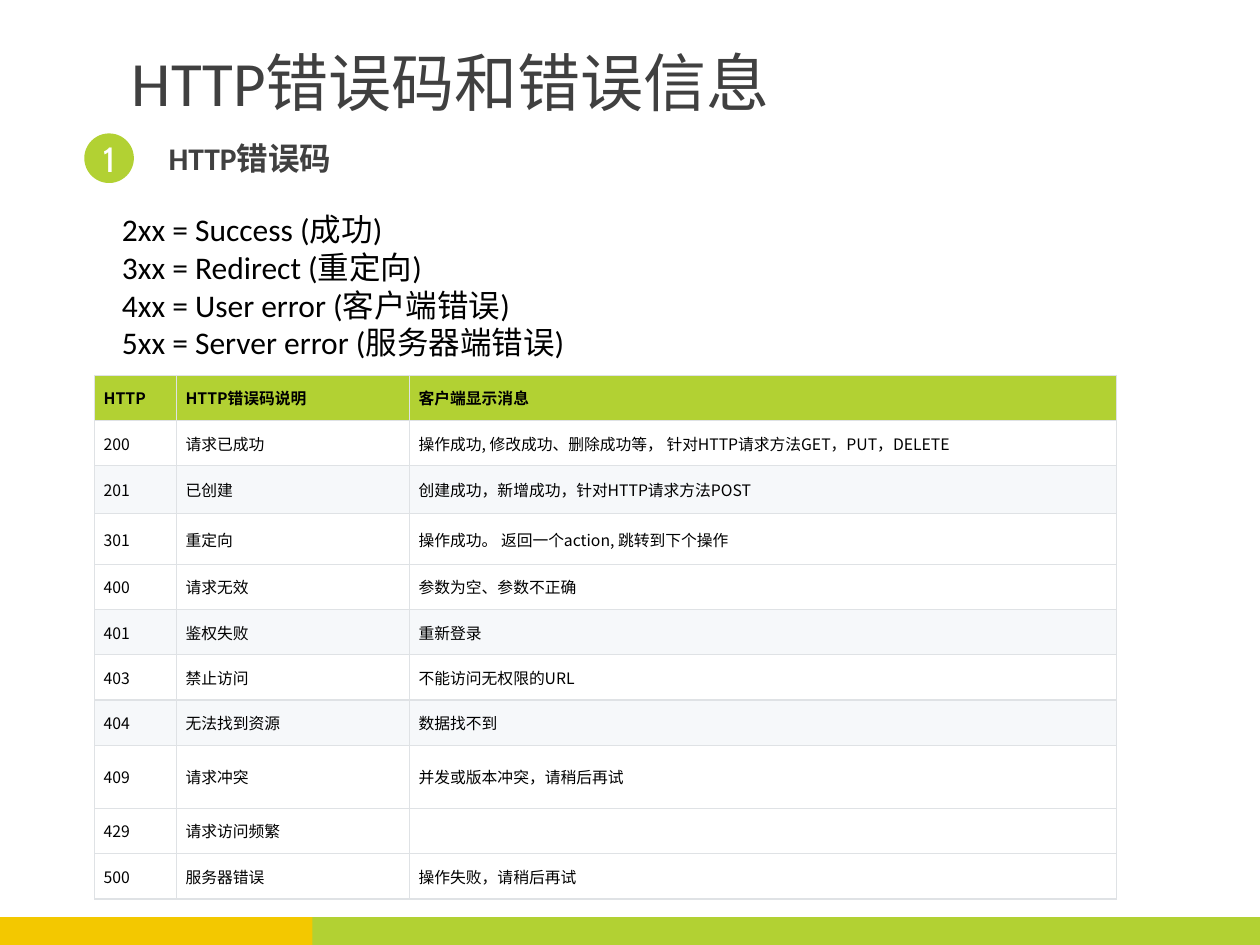
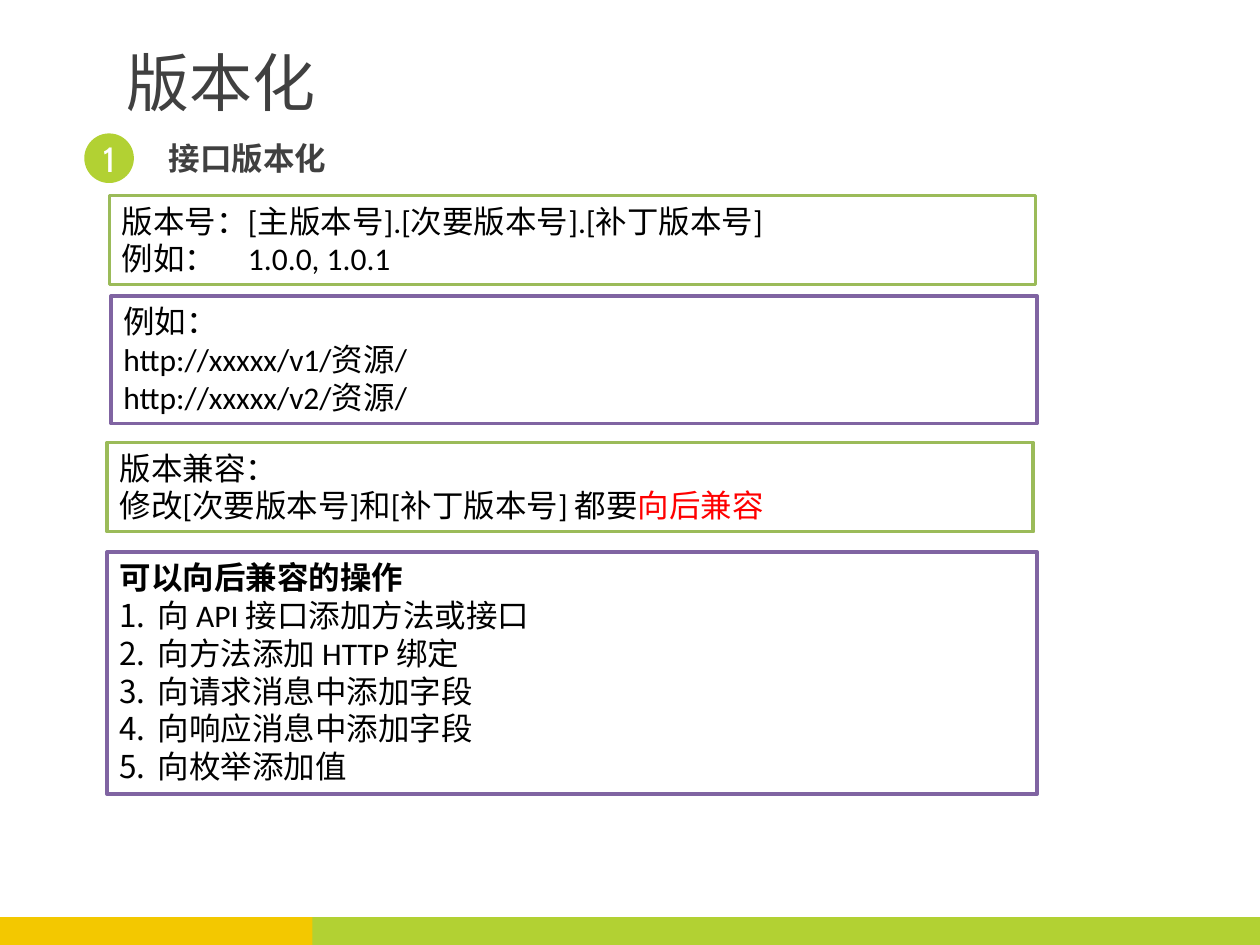
"""Builds two slides on HTTP error codes and interface versioning."""
from dataclasses import dataclass

from lxml import etree
from pptx import Presentation, util as u
from pptx.dml.color import RGBColor
from pptx.enum import shapes, text
from pptx.oxml import ns


@dataclass(frozen=True)
class Theme:
    lime: str = "B2D133"
    yellow: str = "F3C800"
    heading: str = "404040"
    ink: str = "000000"
    white: str = "FFFFFF"
    stripe: str = "F6F8FA"
    border: str = "DFE2E5"
    green: str = "9BBB59"
    purple: str = "8064A2"
    red: str = "FF0000"
    font: str = "Calibri"
    badge_font: str = "Cabin"
    cjk_font: str = "Noto Sans CJK SC"
    title_size: int = 36
    badge_size: int = 20
    body_size: int = 18
    table_size: int = 9
    border_width: float = 0.75
    box_width: int = 2


def add_xml(parent, tag, **attributes):
    return etree.SubElement(parent, ns.qn(tag), attributes)


class Deck:
    def __init__(self, theme):
        self.theme = theme
        self.presentation = Presentation()
        self.presentation.slide_width = u.Cm(25.4)
        self.presentation.slide_height = u.Cm(19.05)
        self.slide = None

    def new_slide(self, title, title_left, heading, heading_width):
        theme = self.theme
        self.slide = self.presentation.slides.add_slide(self.presentation.slide_layouts[6])
        self.shape("RECTANGLE", (4.29, 18.49, 21.11, 0.56), theme.lime)
        self.shape("RECTANGLE", (0, 18.49, 6.3, 0.56), theme.yellow)
        self.textbox((title_left, 0.76, 18.36, 1.8), [title], theme.title_size, theme.heading)
        self.badge("1")
        self.textbox((3.15, 2.67, heading_width, 1.02), [heading],
                     theme.body_size, theme.heading, bold=True)

    def style(self, runs, size, color, bold=False, font=None):
        for run in runs:
            run.font.size = u.Pt(size)
            run.font.bold = bold
            run.font.color.rgb = RGBColor.from_string(color)
            run.font.name = font or self.theme.font
            add_xml(run._r.get_or_add_rPr(), "a:ea", typeface=self.theme.cjk_font)

    def shape(self, kind, place, fill, line=None):
        shape = self.slide.shapes.add_shape(
            getattr(shapes.MSO_SHAPE, kind), *map(u.Cm, place))
        shape.shadow.inherit = False
        shape.fill.solid()
        shape.fill.fore_color.rgb = RGBColor.from_string(fill)
        if line:
            shape.line.color.rgb = RGBColor.from_string(line)
            shape.line.width = u.Pt(self.theme.box_width)
        else:
            shape.line.fill.background()
        return shape

    def badge(self, number):
        theme = self.theme
        frame = self.shape("OVAL", (1.7, 2.69, 1, 1), theme.lime).text_frame
        frame.margin_left = frame.margin_right = frame.margin_top = frame.margin_bottom = 0
        frame.text = number
        frame.vertical_anchor = text.MSO_ANCHOR.MIDDLE
        paragraph = frame.paragraphs[0]
        paragraph.alignment = text.PP_ALIGN.CENTER
        self.style(paragraph.runs, theme.badge_size, theme.white, font=theme.badge_font)

    def set_lines(self, frame, lines, size, color, bold=False):
        frame.text = "\n".join(lines)
        frame.word_wrap = True
        frame.vertical_anchor = text.MSO_ANCHOR.TOP
        for paragraph in frame.paragraphs:
            paragraph.alignment = text.PP_ALIGN.LEFT
            self.style(paragraph.runs, size, color, bold)

    def textbox(self, place, lines, size, color, bold=False):
        box = self.slide.shapes.add_textbox(*map(u.Cm, place))
        self.set_lines(box.text_frame, lines, size, color, bold)

    def box(self, place, line_color, lines):
        theme = self.theme
        frame = self.shape("RECTANGLE", place, theme.white, line_color).text_frame
        self.set_lines(frame, lines, theme.body_size, theme.ink)
        return frame.paragraphs

    def highlight(self, paragraph, words):
        run = paragraph.add_run()
        run.text = words
        self.style([run], self.theme.body_size, self.theme.red)

    def number(self, paragraphs):
        for paragraph in paragraphs:
            properties = paragraph._p.get_or_add_pPr()
            properties.set("marL", str(u.Cm(0.77)))
            properties.set("indent", str(-u.Cm(0.77)))
            add_xml(properties, "a:buFont", typeface=self.theme.font)
            add_xml(properties, "a:buAutoNum", type="arabicPeriod")

    def cell(self, cell, words, fill, bold):
        theme = self.theme
        properties = cell._tc.get_or_add_tcPr()
        for side in "LRTB":
            line = add_xml(properties, f"a:ln{side}", w=str(u.Pt(theme.border_width)))
            add_xml(add_xml(line, "a:solidFill"), "a:srgbClr", val=theme.border)
        cell.fill.solid()
        cell.fill.fore_color.rgb = RGBColor.from_string(fill)
        cell.vertical_anchor = text.MSO_ANCHOR.MIDDLE
        cell.margin_left = cell.margin_right = u.Cm(0.18)
        cell.margin_top = cell.margin_bottom = u.Cm(0.08)
        cell.text = words
        self.style(cell.text_frame.paragraphs[0].runs, theme.table_size, theme.ink, bold,
                   theme.cjk_font)

    def table(self, place, widths, heights, rows, striped):
        theme = self.theme
        table = self.slide.shapes.add_table(
            len(rows), len(widths), *map(u.Cm, place)).table
        for column, width in zip(table.columns, widths):
            column.width = u.Cm(width)
        for index, (row, words) in enumerate(zip(table.rows, rows)):
            row.height = u.Cm(heights.get(words[0], 0.91))
            fill = theme.stripe if words[0] in striped else theme.white
            for cell, label in zip(row.cells, words):
                self.cell(cell, label, fill if index else theme.lime, index == 0)


ERROR_CODES = [
    ("HTTP", "HTTP错误码说明", "客户端显示消息"),
    ("200", "请求已成功", "操作成功, 修改成功、删除成功等， 针对HTTP请求方法GET，PUT，DELETE"),
    ("201", "已创建", "创建成功，新增成功，针对HTTP请求方法POST"),
    ("301", "重定向", "操作成功。 返回一个action, 跳转到下个操作"),
    ("400", "请求无效", "参数为空、参数不正确"),
    ("401", "鉴权失败", "重新登录"),
    ("403", "禁止访问", "不能访问无权限的URL"),
    ("404", "无法找到资源", "数据找不到"),
    ("409", "请求冲突", "并发或版本冲突，请稍后再试"),
    ("429", "请求访问频繁", ""),
    ("500", "服务器错误", "操作失败，请稍后再试"),
]


def build_error_codes(deck):
    theme = deck.theme
    deck.new_slide("HTTP错误码和错误信息", 2.41, "HTTP错误码", 3.84)
    deck.table((1.91, 7.57, 20.6, 10.57), (1.65, 4.7, 14.25),
               {"201": 0.97, "301": 1.02, "409": 1.27}, ERROR_CODES, {"201", "401", "404"})
    deck.textbox((2.21, 4.11, 18.21, 3.33),
                 ["2xx = Success (成功)", "3xx = Redirect (重定向)",
                  "4xx = User error (客户端错误)", "5xx = Server error (服务器端错误)"],
                 theme.body_size, theme.ink)


def build_versioning(deck):
    theme = deck.theme
    deck.new_slide("版本化", 2.31, "接口版本化", 3.75)
    deck.box((2.21, 3.94, 18.67, 1.8), theme.green,
             ["版本号：[主版本号].[次要版本号].[补丁版本号]", "例如：\t1.0.0, 1.0.1"])
    deck.box((2.24, 5.97, 18.67, 2.57), theme.purple,
             ["例如：", "http://xxxxx/v1/资源/", "http://xxxxx/v2/资源/"])
    compatibility = deck.box((2.16, 8.92, 18.67, 1.8), theme.green,
                             ["版本兼容：", "修改[次要版本号]和[补丁版本号] 都要"])
    deck.highlight(compatibility[1], "向后兼容")
    operations = deck.box((2.16, 11.13, 18.75, 4.88), theme.purple,
                          ["可以向后兼容的操作", "向 API 接口添加方法或接口", "向方法添加 HTTP 绑定",
                           "向请求消息中添加字段", "向响应消息中添加字段", "向枚举添加值"])
    operations[0].runs[0].font.bold = True
    deck.number(operations[1:])


deck = Deck(Theme())
build_error_codes(deck)
build_versioning(deck)
deck.presentation.save("out.pptx")
